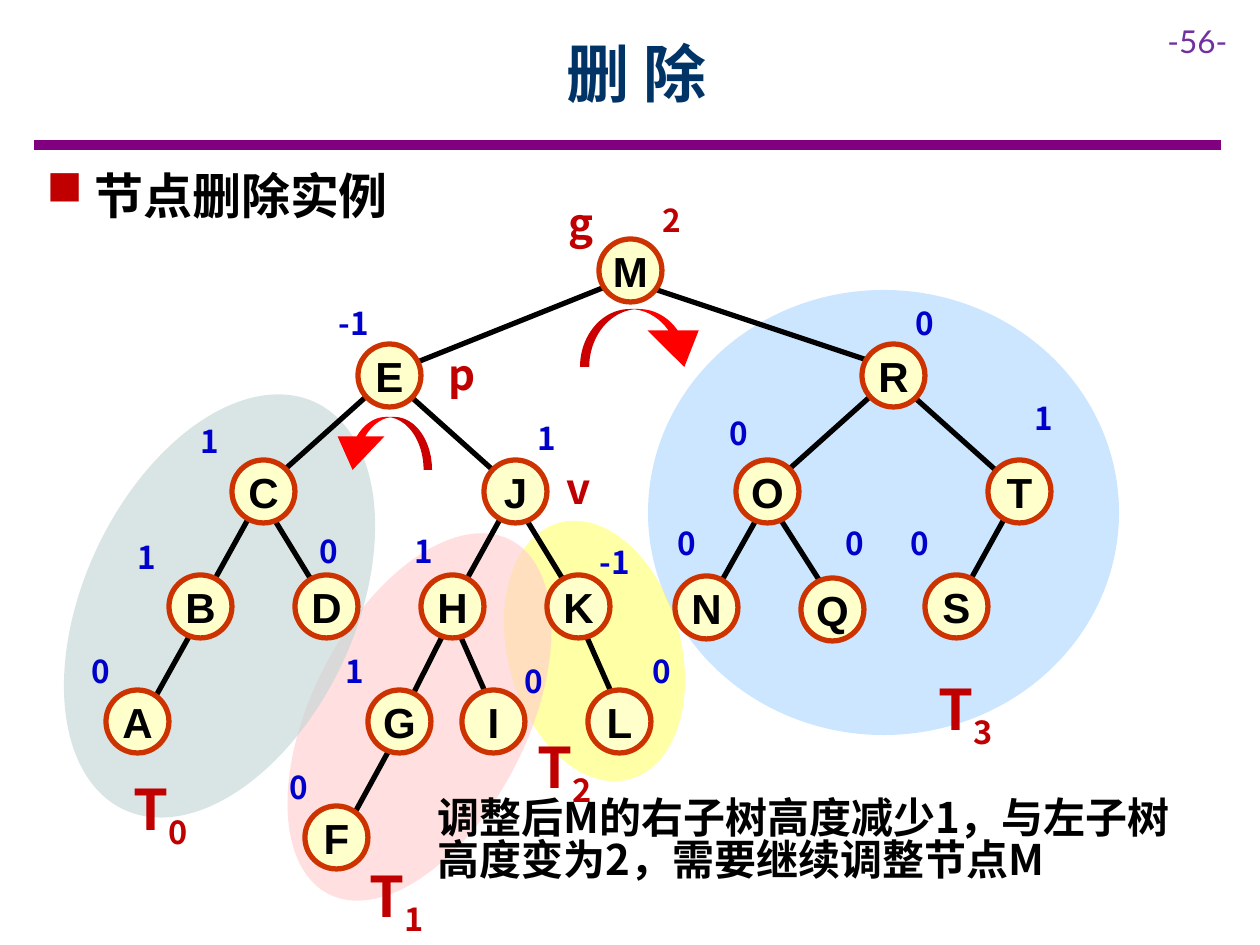
"""Build the slide on deleting a node from an AVL tree."""
import lxml.etree
import pptx
import pptx.dml.color
import pptx.enum.shapes
import pptx.enum.text
import pptx.oxml.ns
import pptx.util

THEME = {
    "cjk": "Noto Sans CJK SC", "node_font": "Arial", "number_font": "Lato",
    "title": "003366", "rule": "800080", "number": "7030A0", "ink": "000000",
    "accent": "C00000", "balance": "0000CC", "node": "FFFFCC", "ring": "CC3300",
    "rotation": "FF0000",
    "title_size": 36, "tree_size": 32, "heading_size": 28, "body_size": 24, "small_size": 18,
}
PX = 914400 / 126
qn = pptx.oxml.ns.qn
shape_types = pptx.enum.shapes.MSO_SHAPE
aligns = pptx.enum.text.PP_ALIGN
anchors = pptx.enum.text.MSO_ANCHOR


def px(*lengths):
    return [round(length * PX) for length in lengths]


def write(shape, words, size, color, font=THEME["cjk"], bold=True, wrap=False):
    frame = shape.text_frame
    frame.text = words
    frame.word_wrap = wrap
    paragraph = frame.paragraphs[0]
    if font == THEME["cjk"]:
        paragraph.line_spacing = 0.83
        frame.margin_top, frame.margin_bottom = px(6 + 0.14 * size, 6 - 0.14 * size)
    for run in paragraph.runs:
        run.font.name = font
        run.font.size = pptx.util.Pt(size)
        run.font.bold = bold
        run.font.color.rgb = pptx.dml.color.RGBColor.from_string(color)
        lxml.etree.SubElement(run.font._element, qn("a:ea"), typeface=font)
    return paragraph


deck = pptx.Presentation()
deck.slide_width, deck.slide_height = px(1260, 945)
slide = deck.slides.add_slide(deck.slide_layouts[6])
shapes = slide.shapes

subtrees = [
    (648, 290, 471, 445, 0, "70B8FF", 35),
    (508, 518, 173, 266, 344.6, "FFFF00", 35),
    (312, 518, 215, 398, 27.2, "FFCCCC", 62),
    (84, 381, 271, 450, 25.2, "C2D6D6", 62),
]
for left, top, width, height, angle, color, opacity in subtrees:
    subtree = shapes.add_shape(shape_types.OVAL, *px(left, top, width, height))
    subtree.rotation = angle
    subtree.shadow.inherit = False
    subtree.fill.solid()
    subtree.fill.fore_color.rgb = pptx.dml.color.RGBColor.from_string(color)
    subtree.line.fill.background()
    tint = subtree._element.spPr.find(qn("a:solidFill"))[0]
    lxml.etree.SubElement(tint, qn("a:alpha"), val=str(opacity * 1000))

number = shapes.add_textbox(*px(1155, 16, 105, 50))
write(number, "-56-", THEME["small_size"], THEME["number"], THEME["number_font"], False, True)

title = shapes.add_textbox(*px(113, 11, 1047, 126))
write(title, "删 除", THEME["title_size"], THEME["title"], wrap=True).alignment = aligns.CENTER
title.text_frame.vertical_anchor = anchors.MIDDLE

heading = shapes.add_textbox(*px(34, 165, 819, 72))
topic = write(heading, "节点删除实例", THEME["heading_size"], THEME["ink"], wrap=True)
topic_format = topic._p.get_or_add_pPr()
indent = px(48)[0]
topic_format.set("marL", str(indent))
topic_format.set("indent", str(-indent))
bullet_color = lxml.etree.SubElement(topic_format, qn("a:buClr"))
lxml.etree.SubElement(bullet_color, qn("a:srgbClr"), val=THEME["accent"])
lxml.etree.SubElement(topic_format, qn("a:buChar"), char="■")

rule = [(34, 145, 1221, 145, THEME["rule"], 6)]
edges = [
    (147, 712, 200, 617), (578, 617, 620, 712), (452, 617, 494, 712),
    (399, 722, 452, 617), (956, 606, 1008, 512), (515, 501, 567, 586),
    (452, 606, 504, 512), (263, 501, 315, 586), (504, 480, 399, 386),
    (1019, 491, 914, 397), (777, 480, 882, 386), (630, 281, 882, 365),
    (347, 827, 399, 732), (273, 480, 378, 386), (200, 606, 252, 512),
    (410, 365, 620, 281), (770, 503, 823, 586), (707, 607, 760, 513),
]
for *ends, color, weight in rule + [(*edge, THEME["ink"], 3) for edge in edges]:
    edge = shapes.add_connector(pptx.enum.shapes.MSO_CONNECTOR.STRAIGHT, *px(*ends))
    edge.line.color.rgb = pptx.dml.color.RGBColor.from_string(color)
    edge.line.width = pptx.util.Pt(weight)
    lxml.etree.SubElement(edge._element.spPr, qn("a:effectLst"))

nodes = [
    ("M", 599, 239, "2", 650, 199), ("E", 358, 344, "-1", 326, 302),
    ("R", 862, 344, "0", 903, 302), ("C", 232, 460, "1", 188, 420),
    ("J", 484, 460, "1", 525, 417), ("O", 736, 460, "0", 717, 412),
    ("T", 988, 460, "1", 1022, 397), ("B", 169, 575, "1", 125, 536),
    ("D", 295, 575, "0", 307, 530), ("H", 421, 575, "1", 402, 530),
    ("K", 547, 575, "-1", 587, 541), ("N", 675, 576, "0", 665, 522),
    ("Q", 801, 578, "0", 833, 522), ("S", 925, 575, "0", 898, 522),
    ("A", 106, 690, "0", 79, 650), ("G", 368, 690, "1", 333, 650),
    ("I", 462, 690, "0", 512, 660), ("L", 588, 690, "0", 640, 650),
    ("F", 305, 806, "0", 277, 766),
]
for key, left, top, balance, balance_left, balance_top in nodes:
    node = shapes.add_shape(shape_types.OVAL, *px(left, top, 63, 63))
    node.shadow.inherit = False
    node.fill.solid()
    node.fill.fore_color.rgb = pptx.dml.color.RGBColor.from_string(THEME["node"])
    node.line.color.rgb = pptx.dml.color.RGBColor.from_string(THEME["ring"])
    node.line.width = pptx.util.Pt(3)
    letter = write(node, key, THEME["body_size"], THEME["ink"], THEME["node_font"])
    letter.alignment = aligns.CENTER
    inside = node.text_frame
    inside.vertical_anchor = anchors.MIDDLE
    inside.margin_left = inside.margin_right = inside.margin_top = inside.margin_bottom = 0
    factor_width = 59 if len(balance) > 1 else 45
    factor = shapes.add_textbox(*px(balance_left, balance_top, factor_width, 50))
    factor_color = THEME["accent" if balance == "2" else "balance"]
    write(factor, balance, THEME["small_size"], factor_color)

for name, left, top, width in [("g", 556, 197, 54), ("p", 436, 348, 54), ("v", 554, 462, 50)]:
    pointer = shapes.add_textbox(*px(left, top, width, 63))
    write(pointer, name, THEME["body_size"], THEME["accent"])

for left, top, width, height, mirrored in [(354, 392, 53, 103, True), (616, 273, 58, 130, False)]:
    rotation = shapes.add_shape(shape_types.CURVED_LEFT_ARROW, *px(left, top, width, height))
    rotation.rotation = 270
    for index, value in enumerate((0.16, 0.886, 0.633)):
        rotation.adjustments[index] = value
    if mirrored:
        rotation._element.spPr.find(qn("a:xfrm")).set("flipV", "1")
    rotation.shadow.inherit = False
    rotation.fill.solid()
    rotation.fill.fore_color.rgb = pptx.dml.color.RGBColor.from_string(THEME["rotation"])
    rotation.line.fill.background()

for order, (left, top) in enumerate([(121, 769), (357, 856), (525, 727), (926, 669)]):
    tree = shapes.add_textbox(*px(left, top, 84, 81))
    tree_name = write(tree, "T", THEME["tree_size"], THEME["accent"])
    subscript = tree_name.add_run()
    subscript.text = str(order)
    subscript.font.name = THEME["cjk"]
    subscript.font.size = pptx.util.Pt(THEME["tree_size"])
    subscript.font.bold = True
    subscript.font.color.rgb = pptx.dml.color.RGBColor.from_string(THEME["accent"])
    subscript.font._element.set("baseline", "-25000")

conclusion = shapes.add_textbox(*px(425, 791, 796, 115))
write(conclusion, "调整后M的右子树高度减少1，与左子树高度变为2，需要继续调整节点M",
      THEME["body_size"], THEME["ink"], wrap=True)

deck.save("out.pptx")
